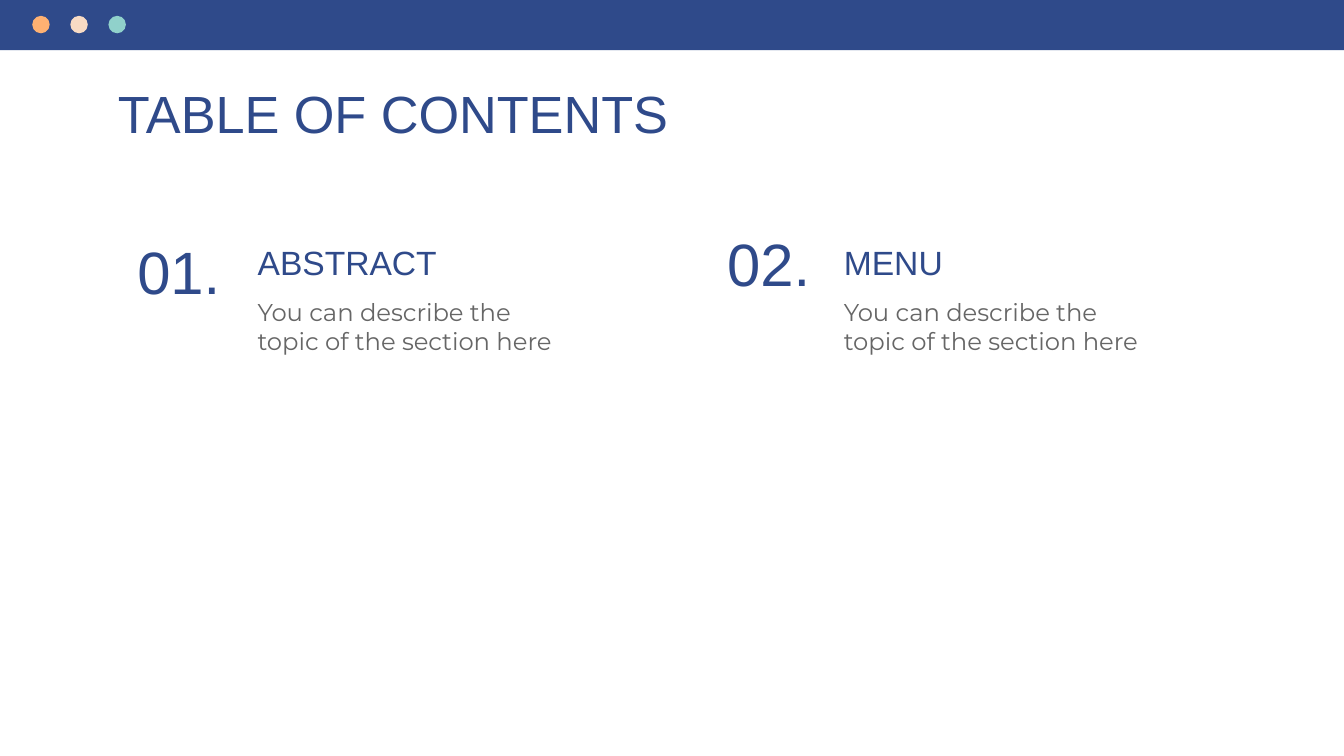
import pptx
import pptx.dml.color
import pptx.enum.shapes
import pptx.enum.text
import pptx.util
from pptx.util import Cm

NAVY, GREY = "2F4A8A", "666666"
DOT_COLORS = ("FFB172", "F8DBC4", "90D1CB")
DOT_SIZE, DOT_PITCH = 0.33, 0.72

# number, heading, description, text left, heading width, number left, number height
SECTIONS = (
    ("01.", "ABSTRACT", "You can describe the topic of the section here", 4.62, 7.42, 2.13, 1.63),
    ("02.", "MENU", "You can describe the topic of the section here", 15.7, 7.57, 13.28, 1.47),
)


def rgb(value):
    return pptx.dml.color.RGBColor.from_string(value)


def add_text(page, text, place, size, font="Arial", color=NAVY, inset_top=0.25):
    """Add a one-paragraph text box; place is left, top, width, height in cm."""
    box = page.shapes.add_textbox(*map(Cm, place))
    frame = box.text_frame
    frame.word_wrap = True
    frame.margin_left = frame.margin_right = frame.margin_bottom = Cm(0.25)
    frame.margin_top = Cm(inset_top)
    para = frame.paragraphs[0]
    para.text = text
    para.font.size = pptx.util.Pt(size)
    para.font.name = font
    para.font.color.rgb = rgb(color)
    return frame


def add_filled(page, kind, place, color):
    shape = page.shapes.add_shape(kind, *map(Cm, place))
    shape.shadow.inherit = False
    shape.fill.solid()
    shape.fill.fore_color.rgb = rgb(color)
    shape.line.fill.background()


def add_section(page, number, heading, description, left, width, number_left, number_height):
    add_text(page, heading, (left, 4.27, width, 1.3), 18, inset_top=0.3)
    frame = add_text(page, number, (number_left, 4.42, 2.5, number_height), 32)
    frame.vertical_anchor = pptx.enum.text.MSO_ANCHOR.BOTTOM
    frame.paragraphs[0].alignment = pptx.enum.text.PP_ALIGN.CENTER
    frame = add_text(page, description, (left, 5.36, 6.32, 1.63), 13, "Montserrat", GREY)
    frame.paragraphs[0].space_after = pptx.util.Pt(12)


def add_window_bar(page):
    kinds = pptx.enum.shapes.MSO_SHAPE
    add_filled(page, kinds.RECTANGLE, (0, 0, 25.4, 0.95), NAVY)
    for index, color in enumerate(DOT_COLORS):
        left = 0.61 + index * DOT_PITCH
        add_filled(page, kinds.OVAL, (left, 0.3, DOT_SIZE, DOT_SIZE), color)


def main():
    deck = pptx.Presentation()
    deck.slide_width, deck.slide_height = Cm(25.4), Cm(14.29)
    page = deck.slides.add_slide(deck.slide_layouts[6])
    add_text(page, "TABLE OF CONTENTS", (1.98, 1.19, 21.44, 1.3), 28, inset_top=0.35)
    for section in SECTIONS:
        add_section(page, *section)
    add_window_bar(page)
    deck.save("out.pptx")


if __name__ == "__main__":
    main()
